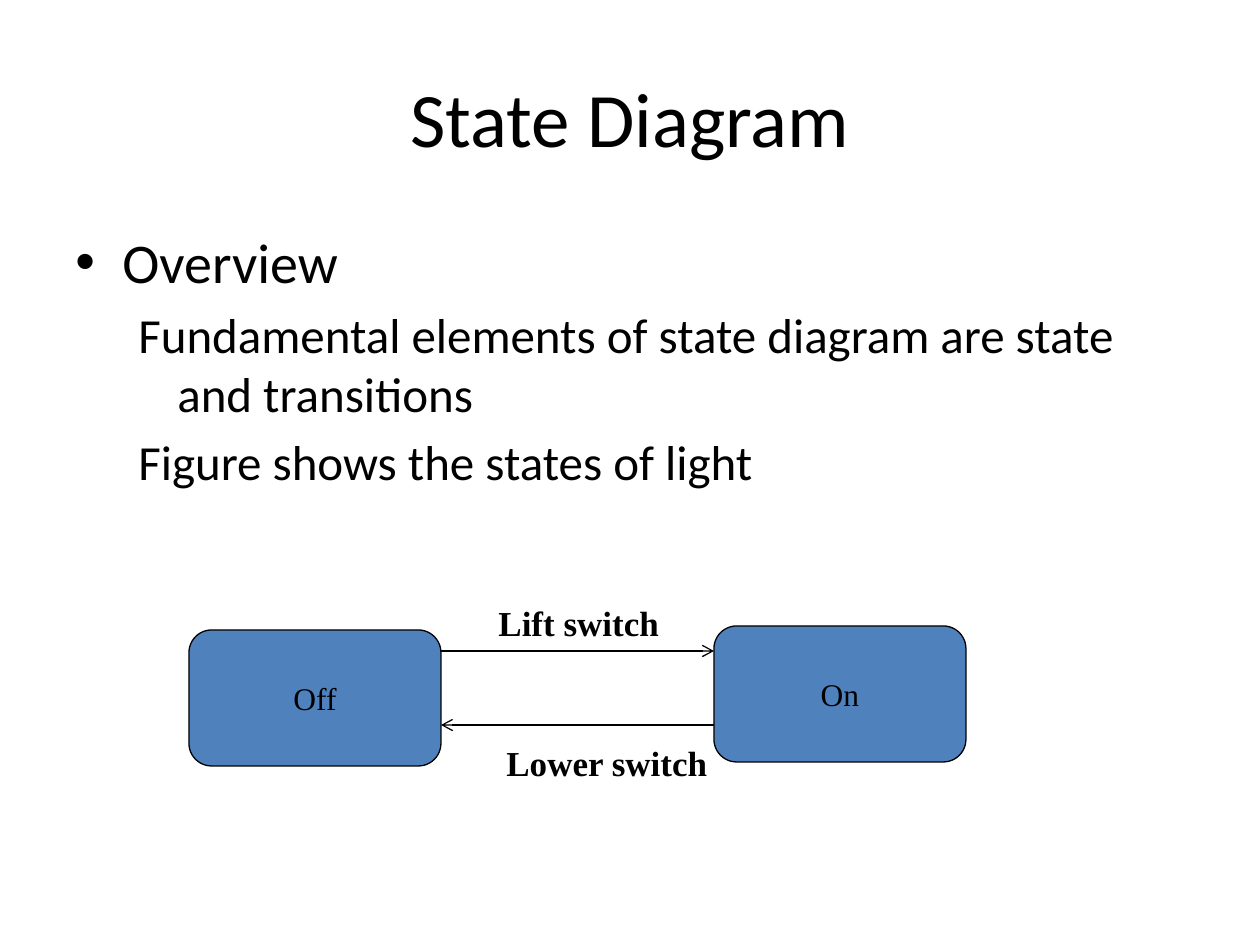
from dataclasses import dataclass

from lxml import etree
from pptx import Presentation
from pptx.dml.color import RGBColor
from pptx.enum.shapes import MSO_CONNECTOR, MSO_SHAPE
from pptx.enum.text import MSO_ANCHOR, MSO_AUTO_SIZE, PP_ALIGN
from pptx.oxml.ns import qn
from pptx.slide import Slide
from pptx.text.text import TextFrame
from pptx.util import Emu, Pt

STRAIGHT = MSO_CONNECTOR.STRAIGHT
STATE_SHAPE = MSO_SHAPE.FLOWCHART_ALTERNATE_PROCESS
TOP, MIDDLE = MSO_ANCHOR.TOP, MSO_ANCHOR.MIDDLE
GROW, NO_FIT = MSO_AUTO_SIZE.SHAPE_TO_FIT_TEXT, MSO_AUTO_SIZE.NONE
LEFT, CENTER = PP_ALIGN.LEFT, PP_ALIGN.CENTER
TITLE_ONLY = 5
PX_PER_INCH = 126


@dataclass(frozen=True)
class Theme:
    ink: RGBColor = RGBColor(0, 0, 0)
    state_fill: RGBColor = RGBColor(0x4F, 0x81, 0xBD)
    heading_font: str = "Calibri"
    diagram_font: str = "Times New Roman"
    title_size: int = 44
    topic_size: int = 32
    detail_size: int = 28
    label_size: int = 20
    state_size: int = 18
    line_width: float = 0.75
    space_ratio: float = 0.2


@dataclass(frozen=True)
class Box:
    left: int
    top: int
    width: int
    height: int

    def emu(self) -> tuple[Emu, ...]:
        return tuple(px(n) for n in (self.left, self.top, self.width, self.height))


@dataclass(frozen=True)
class OutlineItem:
    text: str
    size: int
    margin: int
    hanging: int
    bullet: str = ""


@dataclass(frozen=True)
class State:
    name: str
    box: Box


@dataclass(frozen=True)
class Transition:
    y: int
    arrow_end: str
    label: str
    label_box: Box


THEME = Theme()
TITLE_BOX = Box(63, 38, 1134, 158)
OUTLINE_BOX = Box(63, 221, 1134, 624)
OUTLINE = [
    OutlineItem("Overview", THEME.topic_size, 47, 47, "•"),
    OutlineItem("Fundamental elements of state diagram are state and transitions",
                THEME.detail_size, 102, 39),
    OutlineItem("Figure shows the states of light", THEME.detail_size, 102, 39),
]
OFF = State("Off", Box(189, 630, 252, 136))
ON = State("On", Box(714, 626, 252, 136))
TRANSITIONS = [
    Transition(725, "headEnd", "Lower switch", Box(494, 735, 261, 55)),
    Transition(651, "tailEnd", "Lift switch", Box(486, 595, 258, 55)),
]


def px(length: int) -> Emu:
    return Emu(round(length * 914400 / PX_PER_INCH))


def format_text(frame: TextFrame, size: int, font: str, align: PP_ALIGN,
                anchor: MSO_ANCHOR, bold: bool = False) -> None:
    frame.vertical_anchor = anchor
    for paragraph in frame.paragraphs:
        paragraph.alignment = align
        for run in paragraph.runs:
            run.font.size = Pt(size)
            run.font.name = font
            run.font.bold = bold
            run.font.color.rgb = THEME.ink


def draw_title(slide: Slide, text: str) -> None:
    title = slide.shapes.title
    title.left, title.top, title.width, title.height = TITLE_BOX.emu()
    title.text_frame.text = text
    format_text(title.text_frame, THEME.title_size, THEME.heading_font, CENTER, MIDDLE)


def draw_outline(slide: Slide, items: list[OutlineItem]) -> None:
    frame = slide.shapes.add_textbox(*OUTLINE_BOX.emu()).text_frame
    frame.word_wrap = True
    frame.auto_size = NO_FIT
    frame.text = "\n".join(item.text for item in items)
    format_text(frame, THEME.detail_size, THEME.heading_font, LEFT, TOP)
    for paragraph, item in zip(frame.paragraphs, items):
        paragraph.runs[0].font.size = Pt(item.size)
        paragraph.space_before = Pt(item.size * THEME.space_ratio)
        properties = paragraph._p.get_or_add_pPr()
        properties.set("marL", str(px(item.margin)))
        properties.set("indent", str(-px(item.hanging)))
        if item.bullet:
            etree.SubElement(properties, qn("a:buFont"), typeface="Arial")
            etree.SubElement(properties, qn("a:buChar"), char=item.bullet)
        else:
            etree.SubElement(properties, qn("a:buNone"))


def draw_state(slide: Slide, state: State) -> None:
    node = slide.shapes.add_shape(STATE_SHAPE, *state.box.emu())
    node.shadow.inherit = False
    node.fill.solid()
    node.fill.fore_color.rgb = THEME.state_fill
    node.line.color.rgb = THEME.ink
    node.line.width = Pt(THEME.line_width)
    node.text_frame.word_wrap = False
    node.text_frame.text = state.name
    format_text(node.text_frame, THEME.state_size, THEME.diagram_font, CENTER, MIDDLE)


def draw_arrow(slide: Slide, transition: Transition) -> None:
    start, end = OFF.box.left + OFF.box.width, ON.box.left
    arrow = slide.shapes.add_connector(
        STRAIGHT, px(start), px(transition.y), px(end), px(transition.y))
    arrow.line.color.rgb = THEME.ink
    arrow.line.width = Pt(THEME.line_width)
    etree.SubElement(arrow.line._get_or_add_ln(), qn(f"a:{transition.arrow_end}"),
                     type="arrow")
    etree.SubElement(arrow._element.spPr, qn("a:effectLst"))


def draw_label(slide: Slide, transition: Transition) -> None:
    frame = slide.shapes.add_textbox(*transition.label_box.emu()).text_frame
    frame.word_wrap = True
    frame.auto_size = GROW
    frame.text = transition.label
    format_text(frame, THEME.label_size, THEME.diagram_font, LEFT, TOP, bold=True)


def main() -> None:
    deck = Presentation()
    deck.slide_width, deck.slide_height = px(1260), px(945)
    slide = deck.slides.add_slide(deck.slide_layouts[TITLE_ONLY])
    draw_title(slide, "State Diagram")
    draw_outline(slide, OUTLINE)
    for state in (OFF, ON):
        draw_state(slide, state)
    for transition in TRANSITIONS:
        draw_arrow(slide, transition)
    for transition in reversed(TRANSITIONS):
        draw_label(slide, transition)
    deck.save("out.pptx")


if __name__ == "__main__":
    main()
